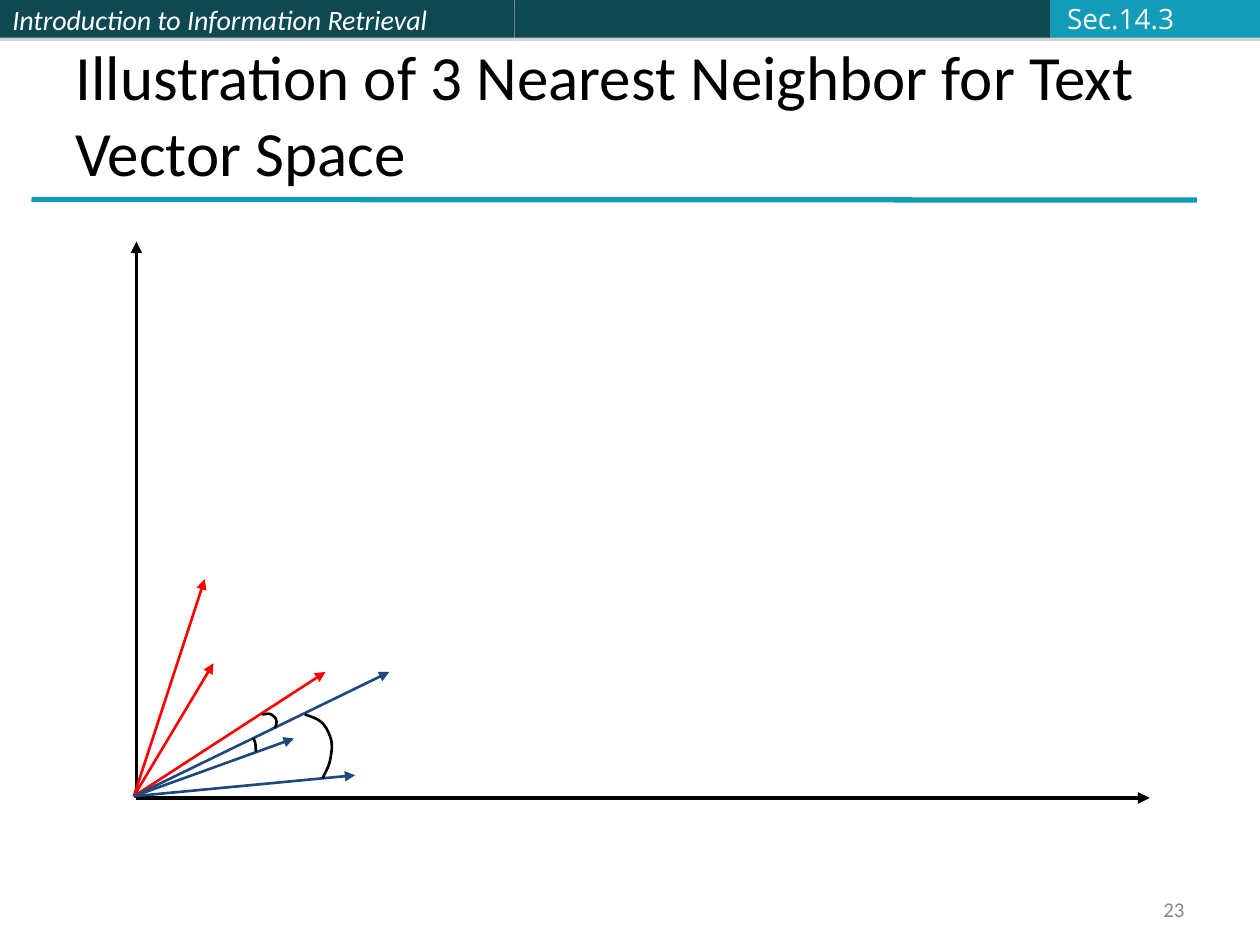
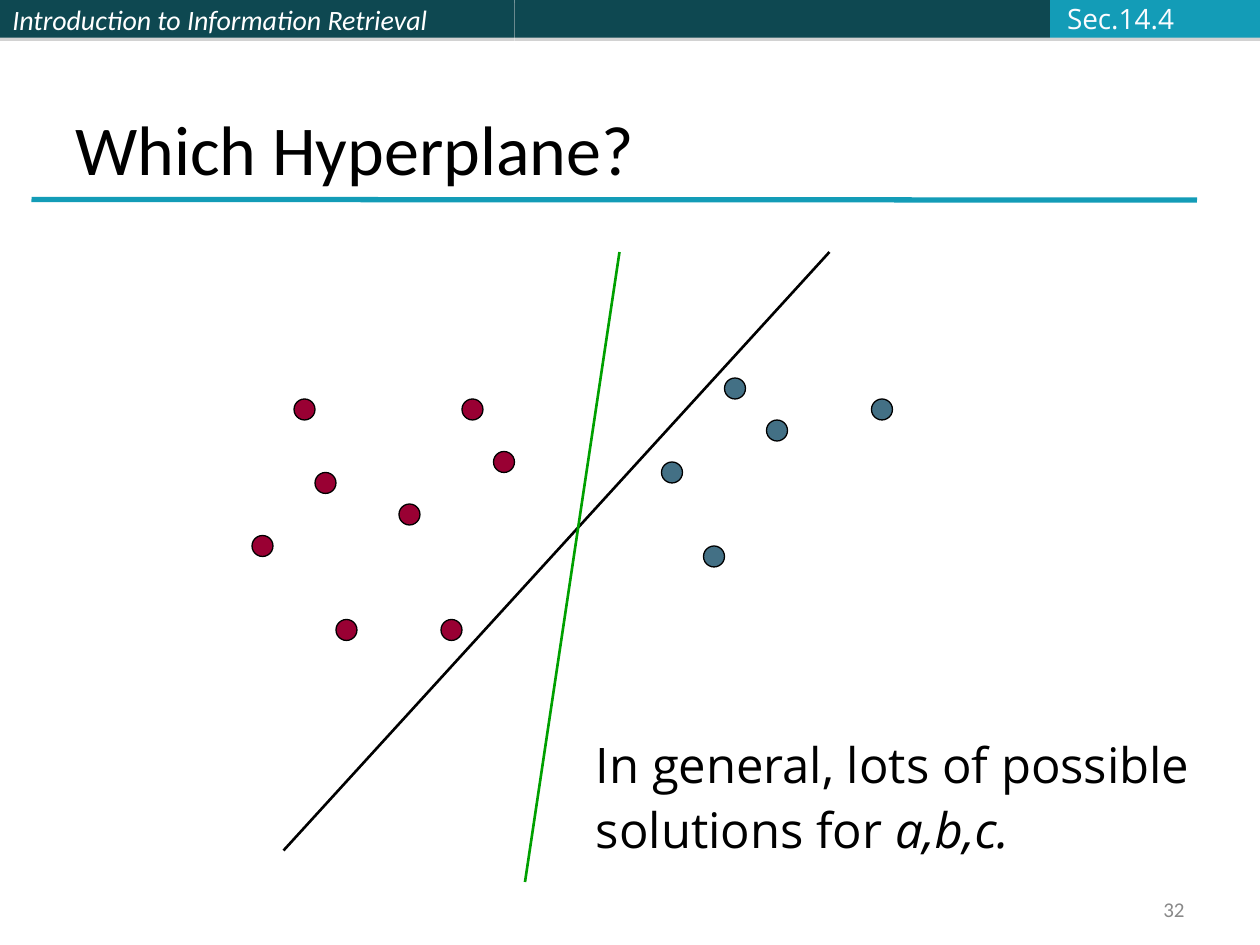
from pptx import Presentation
from pptx.dml.color import RGBColor
from pptx.enum.shapes import MSO_CONNECTOR as Link, MSO_SHAPE as Preset
from pptx.enum.text import MSO_ANCHOR as Anchor, PP_ALIGN as Align
from pptx.oxml import parse_xml
from pptx.oxml.ns import nsdecls
from pptx.oxml.xmlchemy import OxmlElement
from pptx.util import Pt

BLACK = RGBColor(0x00, 0x00, 0x00)
WHITE = RGBColor(0xFF, 0xFF, 0xFF)
PALE = RGBColor(0xFB, 0xFC, 0xFF)
GREY = RGBColor(0x89, 0x89, 0x89)
DARK_TEAL = RGBColor(0x0E, 0x48, 0x51)
TEAL = RGBColor(0x13, 0x9C, 0xB7)
RED = RGBColor(0xFF, 0x00, 0x00)
NAVY = RGBColor(0x1F, 0x49, 0x7D)
GREEN = RGBColor(0x00, 0xA0, 0x00)
CRIMSON = RGBColor(0x99, 0x00, 0x33)
SLATE = RGBColor(0x43, 0x70, 0x85)

BODY_FONT, SIDE_FONT = "Calibri", "Open Sans"
PAGE_WIDTH, PAGE_HEIGHT = 720, 540
BAND_HEIGHT = 21.6
BANDS = [(294, DARK_TEAL), (306, DARK_TEAL), (120, TEAL)]
TITLE_BOX = (36, 21.6, 648, 90)
NUMBER_BOX = (516.24, 509.76, 167.76, 19.44)
SECTION_BOX = (602.64, -2.88, 75.6, 26.64)
PLOT_BOX = (78, 138, 579, 318)
HYPERPLANE_BOX = (144, 144, 366, 360)
CAPTION_BOX = (333.36, 420, 360.72, 81.36)

VECTOR_TAIL = (-1.5, 1)
VECTORS = [
    (RED, (39, 125)),
    (RED, (44, 77)),
    (RED, (108, 72)),
    (NAVY, (125, 13)),
    (NAVY, (90, 34)),
    (NAVY, (144.5, 72)),
]
ANGLE_CURVES = [
    [(66.7, 34.1), (67.7, 32.6), (68.2, 31.2), (68.2, 26.2)],
    [(71.8, 47.8), (73.9, 47.8), (75.4, 48.5), (76.8, 47.8),
     (78.2, 47), (79.7, 45.6), (79.7, 44.9),
     (80.4, 43.4), (79.7, 41.3), (79, 39.8)],
    [(96.2, 47.8), (99.8, 46.3), (103.4, 45.6), (106.3, 42.7),
     (108.5, 40.6), (110.6, 36.2), (111.4, 32.6),
     (112.1, 29), (111.4, 25.4), (110.6, 21.1),
     (109.9, 17.5), (107.8, 14.6), (106.3, 11)],
]
CURVE_STEPS = 6

GRID, DOT = 6, 12
DOTS = {
    CRIMSON: [(4, 14), (6, 21), (8, 35), (20, 14),
              (0, 27), (14, 24), (23, 19), (18, 35)],
    SLATE: [(39, 20), (43, 28), (45, 12), (59, 14), (49, 16)],
}
SEPARATORS = [(BLACK, (18, 342), (330, 0)), (GREEN, (156, 360), (210, 0))]


def set_all(target, values):
    for name, value in values.items():
        setattr(target, name, value)


def write(frame, paragraphs, look, color, para_look=None, frame_look=None):
    set_all(frame, {"word_wrap": True, "vertical_anchor": Anchor.MIDDLE,
                    **(frame_look or {})})
    for index, pieces in enumerate(paragraphs):
        para = frame.add_paragraph() if index else frame.paragraphs[0]
        set_all(para, para_look or {})
        for text, span_look in pieces:
            span = para.add_run()
            span.text = text
            set_all(span.font, {**look, **span_look})
            span.font.color.rgb = color


def add_text(page, box, *args, **looks):
    area = page.shapes.add_textbox(*map(Pt, box))
    write(area.text_frame, *args, **looks)


def add_line(shapes, start, end, color, width, arrow=False):
    line = shapes.add_connector(Link.STRAIGHT, *map(Pt, (*start, *end)))
    line.line.color.rgb = color
    line.line.width = Pt(width)
    if arrow:
        head = OxmlElement("a:tailEnd")
        head.set("type", "triangle")
        line.line._get_or_add_ln().append(head)
    line._element.spPr.append(OxmlElement("a:effectLst"))


def add_filled(page, preset, box, color):
    shape = page.shapes.add_shape(preset, *map(Pt, box))
    shape.shadow.inherit = False
    shape.fill.solid()
    shape.fill.fore_color.rgb = color
    shape.line.fill.background()
    return shape


def add_band_shadow(band):
    effects = band._element.spPr.find(
        "{http://schemas.openxmlformats.org/drawingml/2006/main}effectLst")
    effects.append(parse_xml(
        f'<a:outerShdw {nsdecls("a")} dist="22860" dir="5400000" rotWithShape="0">'
        '<a:srgbClr val="808080"><a:alpha val="35000"/></a:srgbClr></a:outerShdw>'))


def add_header(page, section):
    left = 0
    for index, (width, color) in enumerate(BANDS):
        band = add_filled(page, Preset.RECTANGLE, (left, 0, width, BAND_HEIGHT), color)
        add_band_shadow(band)
        if index == 0:
            write(band.text_frame, [[("Introduction to Information Retrieval", {})]],
                  {"name": BODY_FONT, "size": Pt(16), "italic": True}, WHITE,
                  para_look={"alignment": Align.LEFT})
        left += width
    add_text(page, SECTION_BOX, [[(section, {})]],
             {"name": SIDE_FONT, "size": Pt(16)}, PALE,
             frame_look={"word_wrap": False})


def add_frame(deck, title, title_size, section, number):
    page = deck.slides.add_slide(deck.slide_layouts[6])
    add_header(page, section)
    add_line(page.shapes, (18, 114), (684, 114.3), TEAL, 3)
    add_text(page, NUMBER_BOX, [[(number, {})]],
             {"name": BODY_FONT, "size": Pt(12)}, GREY,
             para_look={"alignment": Align.RIGHT})
    add_text(page, TITLE_BOX, [[(title, {})]],
             {"name": BODY_FONT, "size": Pt(title_size)}, BLACK,
             frame_look={"vertical_anchor": Anchor.BOTTOM})
    return page


def curve_points(controls):
    points = [controls[0]]
    for first in range(0, len(controls) - 1, 3):
        corners = controls[first:first + 4]
        for step in range(1, CURVE_STEPS + 1):
            t = step / CURVE_STEPS
            weights = ((1 - t) ** 3, 3 * t * (1 - t) ** 2, 3 * t * t * (1 - t), t ** 3)
            points.append(tuple(
                sum(weight * corner[axis] for weight, corner in zip(weights, corners))
                for axis in (0, 1)))
    return points


def add_vector_plot(page, box):
    left, top, width, height = box

    def place(point):
        return left + point[0], top + height - point[1]

    axes = page.shapes.add_group_shape()
    for tip in ((0, height), (width, 0)):
        add_line(axes.shapes, place((0, 0)), place(tip), BLACK, 2.25, arrow=True)
    for color, tip in VECTORS:
        add_line(page.shapes, place(VECTOR_TAIL), place(tip), color, 1.5, arrow=True)
    angles = page.shapes.add_group_shape()
    for controls in ANGLE_CURVES:
        points = [tuple(map(Pt, place(point))) for point in curve_points(controls)]
        builder = angles.shapes.build_freeform(*points[0])
        builder.add_line_segments(points[1:], close=False)
        angle = builder.convert_to_shape()
        angle.shadow.inherit = False
        angle.fill.background()
        angle.line.color.rgb = BLACK
        angle.line.width = Pt(1.5)


def add_hyperplane_plot(page, box):
    left, top = box[:2]
    for color, cells in DOTS.items():
        for column, row in cells:
            dot = add_filled(page, Preset.OVAL,
                             (left + column * GRID, top + row * GRID, DOT, DOT), color)
            dot.line.color.rgb = BLACK
            dot.line.width = Pt(0.75)
    for color, start, end in SEPARATORS:
        add_line(page.shapes, (left + start[0], top + start[1]),
                 (left + end[0], top + end[1]), color, 1.5)


def add_caption(page, box):
    add_text(page, box,
             [[("In general, lots of possible", {})],
              [("solutions for ", {}), ("a,b,c.", {"italic": True})]],
             {"name": SIDE_FONT, "size": Pt(28)}, BLACK,
             para_look={"space_before": Pt(7), "line_spacing": 0.9},
             frame_look={"vertical_anchor": Anchor.TOP})


def main():
    deck = Presentation()
    deck.slide_width, deck.slide_height = Pt(PAGE_WIDTH), Pt(PAGE_HEIGHT)
    page = add_frame(deck, "Illustration of 3 Nearest Neighbor for Text Vector Space",
                     36, "Sec.14.3", "23")
    add_vector_plot(page, PLOT_BOX)
    page = add_frame(deck, "Which Hyperplane?", 40, "Sec.14.4", "32")
    add_hyperplane_plot(page, HYPERPLANE_BOX)
    add_caption(page, CAPTION_BOX)
    deck.save("out.pptx")


if __name__ == "__main__":
    main()
